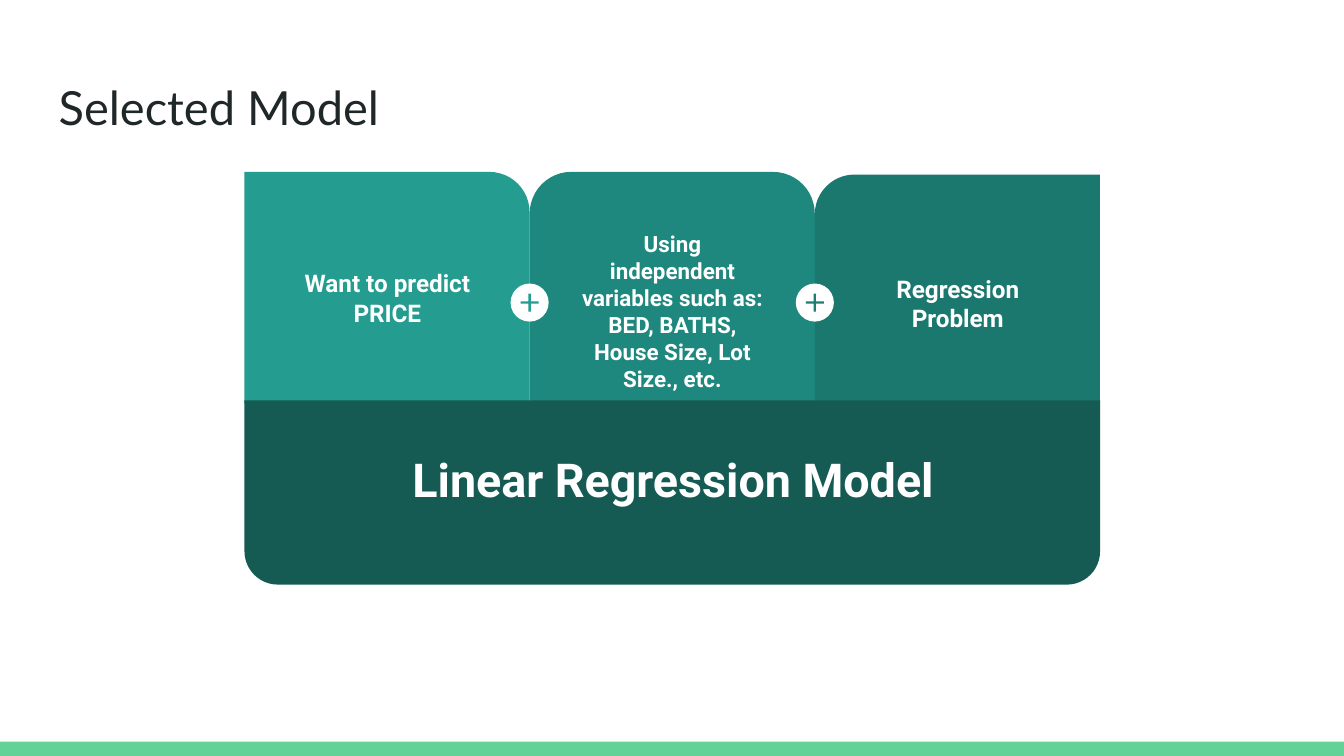
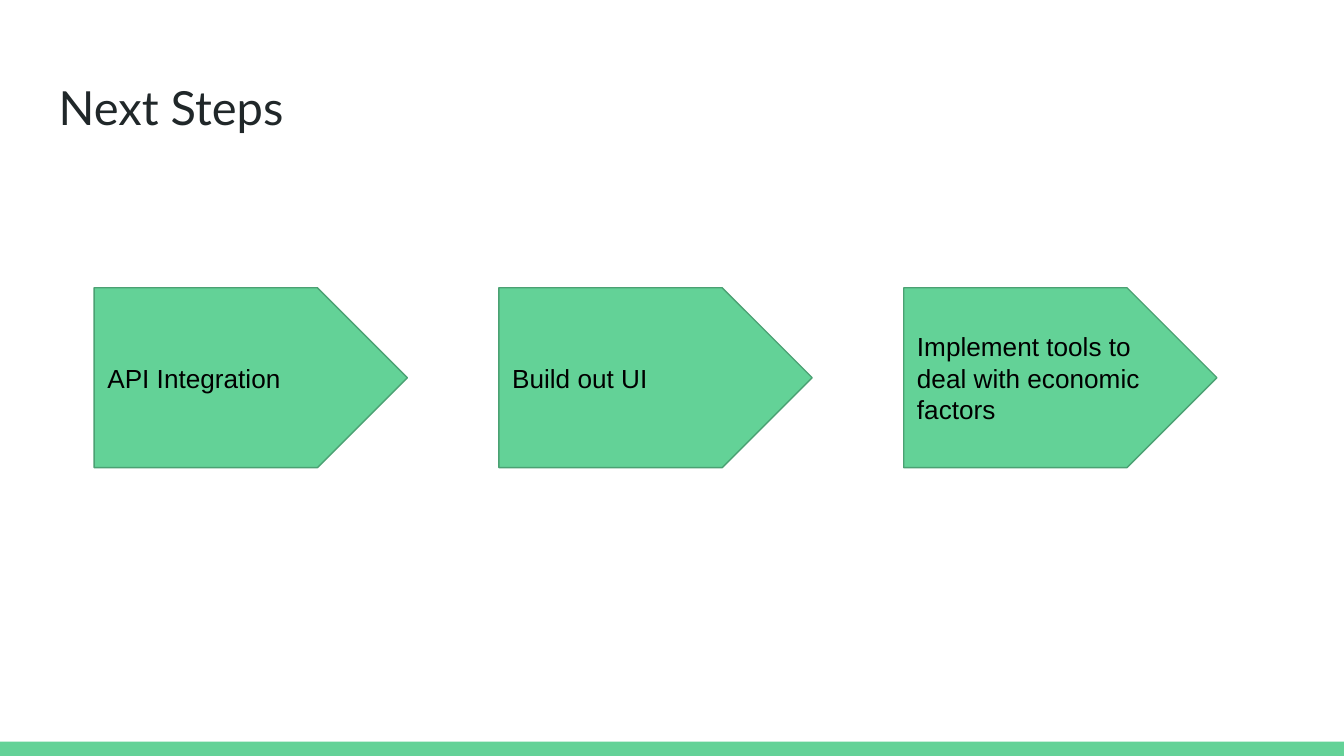
from typing import Any, NamedTuple

from pptx import Presentation
from pptx import util as u
from pptx.dml.color import RGBColor
from pptx.enum import shapes, text

Kind = shapes.MSO_SHAPE
Align = text.PP_ALIGN
Anchor = text.MSO_ANCHOR

GREEN, EDGE = "63D297", "4BA173"
INK, WHITE, BLACK = "202729", "FFFFFF", "000000"
TEAL, DEEP, BASE = "249C90", "1D7E74", "155B54"

LEFT, PITCH, TOP, FLOOR = 4.62, 5.39, 3.25, 7.62
MID = 5.72
STEP = 7.65


class Box(NamedTuple):
    x: float
    y: float
    w: float
    h: float

    def emu(self) -> list[int]:
        return [u.Cm(side) for side in self]


class Style(NamedTuple):
    font: str
    size: float
    color: str
    bold: bool = False
    align: Any = Align.LEFT
    anchor: Any = Anchor.TOP


class Tile(NamedTuple):
    kind: Any
    fill: str
    top: float
    round: float
    flip: bool
    lines: list[str]
    size: float
    y: float
    h: float


TITLE = Style("Lato", 25.2, INK)
STAGE = Style("Arial", 14, BLACK, anchor=Anchor.MIDDLE)

TILES = [
    Tile(Kind.ROUND_1_RECTANGLE, TEAL, TOP, 0.174, False,
         ["Want to predict PRICE"], 13, 4.83, 1.98),
    Tile(Kind.ROUND_2_SAME_RECTANGLE, "1F887E", TOP, 0.181, False,
         ["Using independent variables such as:",
          "BED, BATHS, House Size, Lot Size., etc."], 12, 4.11, 2.69),
    Tile(Kind.ROUND_1_RECTANGLE, "1B786E", 3.3, 0.174, True,
         ["Regression", "Problem"], 13, 4.93, 1.6),
]
STEPS = ["API Integration", "Build out UI",
         "Implement tools to deal with economic factors"]


def rgb(code: str) -> RGBColor:
    return RGBColor.from_string(code)


def bright(size: float) -> Style:
    return Style("Roboto", size, WHITE, True, Align.CENTER)


def write(shape: Any, lines: list[str], style: Style) -> None:
    frame = shape.text_frame
    pad = u.Cm(0.25)
    form = {"word_wrap": True, "auto_size": text.MSO_AUTO_SIZE.NONE,
            "vertical_anchor": style.anchor, "margin_left": pad,
            "margin_right": pad, "margin_top": pad, "margin_bottom": pad}
    for key, value in form.items():
        setattr(frame, key, value)
    face = {"name": style.font, "size": u.Pt(style.size), "bold": style.bold}
    for i, line in enumerate(lines):
        para = frame.add_paragraph() if i else frame.paragraphs[0]
        para.alignment = style.align
        run = para.add_run()
        run.text = line
        for key, value in face.items():
            setattr(run.font, key, value)
        run.font.color.rgb = rgb(style.color)


def label(scope: Any, box: Box, lines: list[str], style: Style) -> None:
    write(scope.add_textbox(*box.emu()), lines, style)


def solid(scope: Any, kind: Any, box: Box, fill: str,
          bend: float | None = None, edge: str | None = None) -> Any:
    shape = scope.add_shape(kind, *box.emu())
    shape.shadow.inherit = False
    shape.fill.solid()
    shape.fill.fore_color.rgb = rgb(fill)
    if edge:
        shape.line.color.rgb = rgb(edge)
        shape.line.width = u.Pt(0.75)
    else:
        shape.line.fill.background()
    if bend is not None:
        shape.adjustments[0] = bend
    return shape


def group(slide: Any) -> Any:
    return slide.shapes.add_group_shape().shapes


def start(deck: Any, title: str) -> Any:
    slide = deck.slides.add_slide(deck.slide_layouts[6])
    solid(slide.shapes, Kind.RECTANGLE, Box(0, 14.02, 25.4, 0.27), GREEN)
    label(slide.shapes, Box(0.86, 1.24, 23.67, 1.6), [title], TITLE)
    return slide


def panel(slide: Any, tile: Tile, x: float) -> None:
    scope = group(slide)
    box = Box(x, tile.top, PITCH, FLOOR - tile.top)
    shape = solid(scope, tile.kind, box, tile.fill, tile.round)
    if tile.flip:
        shape._element.spPr.xfrm.set("flipH", "1")
    label(scope, Box(x + 0.68, tile.y, 4.04, tile.h),
          tile.lines, bright(tile.size))


def badge(slide: Any, x: float, color: str) -> None:
    scope = group(slide)
    parts = [(Kind.OVAL, 0.72, WHITE, None),
             (Kind.MATH_PLUS, 0.46, color, 0.099)]
    for kind, size, fill, bend in parts:
        box = Box(x - size / 2, MID - size / 2, size, size)
        solid(scope, kind, box, fill, bend)


def model(deck: Any) -> None:
    slide = start(deck, "Selected Model")
    for i, tile in enumerate(TILES):
        panel(slide, tile, LEFT + i * PITCH)
    for i, color in enumerate([TEAL, DEEP], 1):
        badge(slide, LEFT + i * PITCH, color)
    scope = group(slide)
    base = solid(scope, Kind.ROUND_2_SAME_RECTANGLE,
                 Box(LEFT, 7.57, 3 * PITCH, 3.48), BASE, 0.181)
    base.rotation = 180
    label(scope, Box(6.27, 8.28, 12.9, 2.06),
          ["Linear Regression Model"], bright(25))


def plan(deck: Any) -> None:
    slide = start(deck, "Next Steps")
    for i, step in enumerate(STEPS):
        box = Box(1.78 + i * STEP, 5.44, 5.92, 3.4)
        arrow = solid(slide.shapes, Kind.PENTAGON, box, GREEN, 0.5, EDGE)
        write(arrow, [step], STAGE)


def main() -> None:
    deck = Presentation()
    deck.slide_width, deck.slide_height = u.Cm(25.4), u.Cm(14.29)
    model(deck)
    plan(deck)
    deck.save("out.pptx")


if __name__ == "__main__":
    main()
